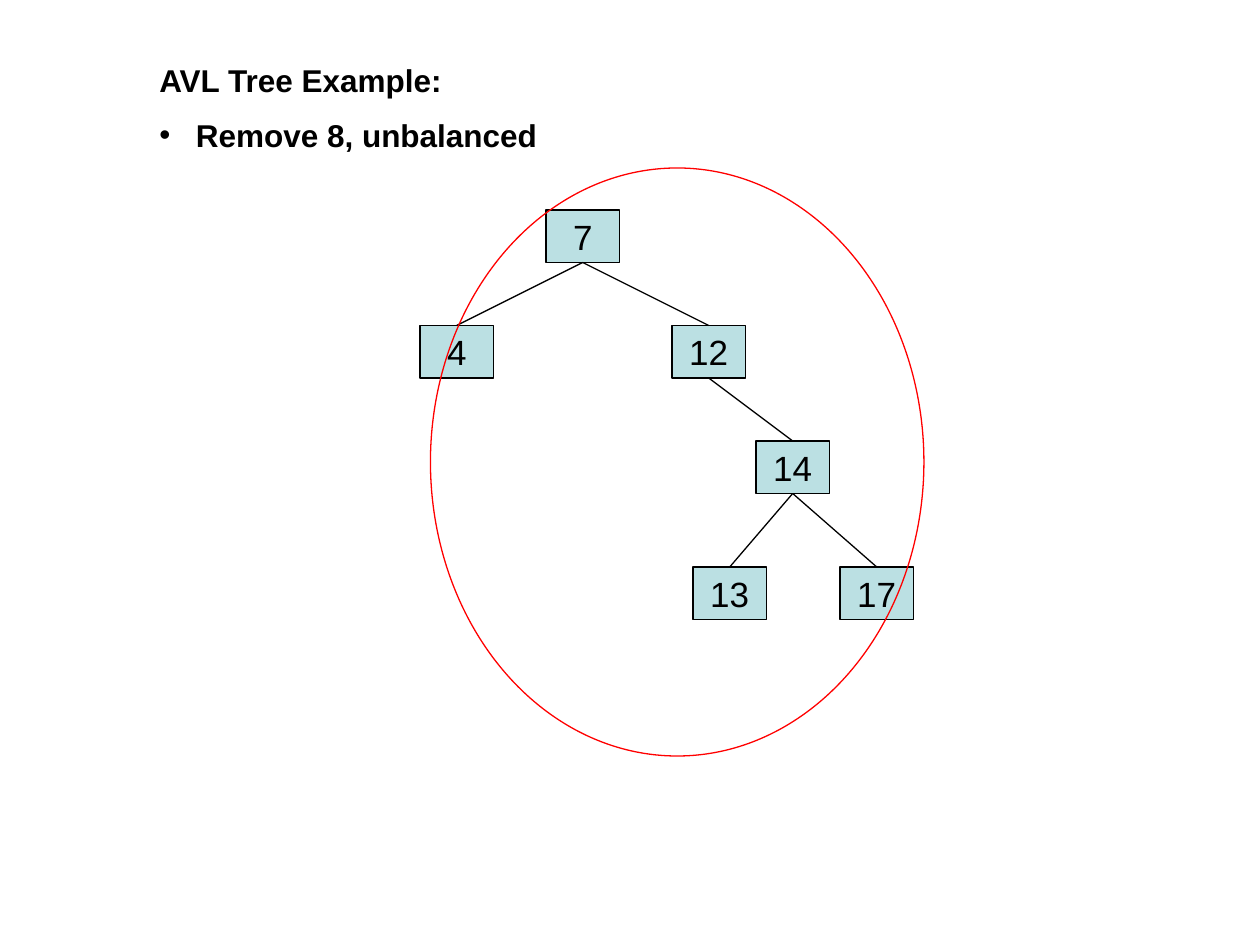
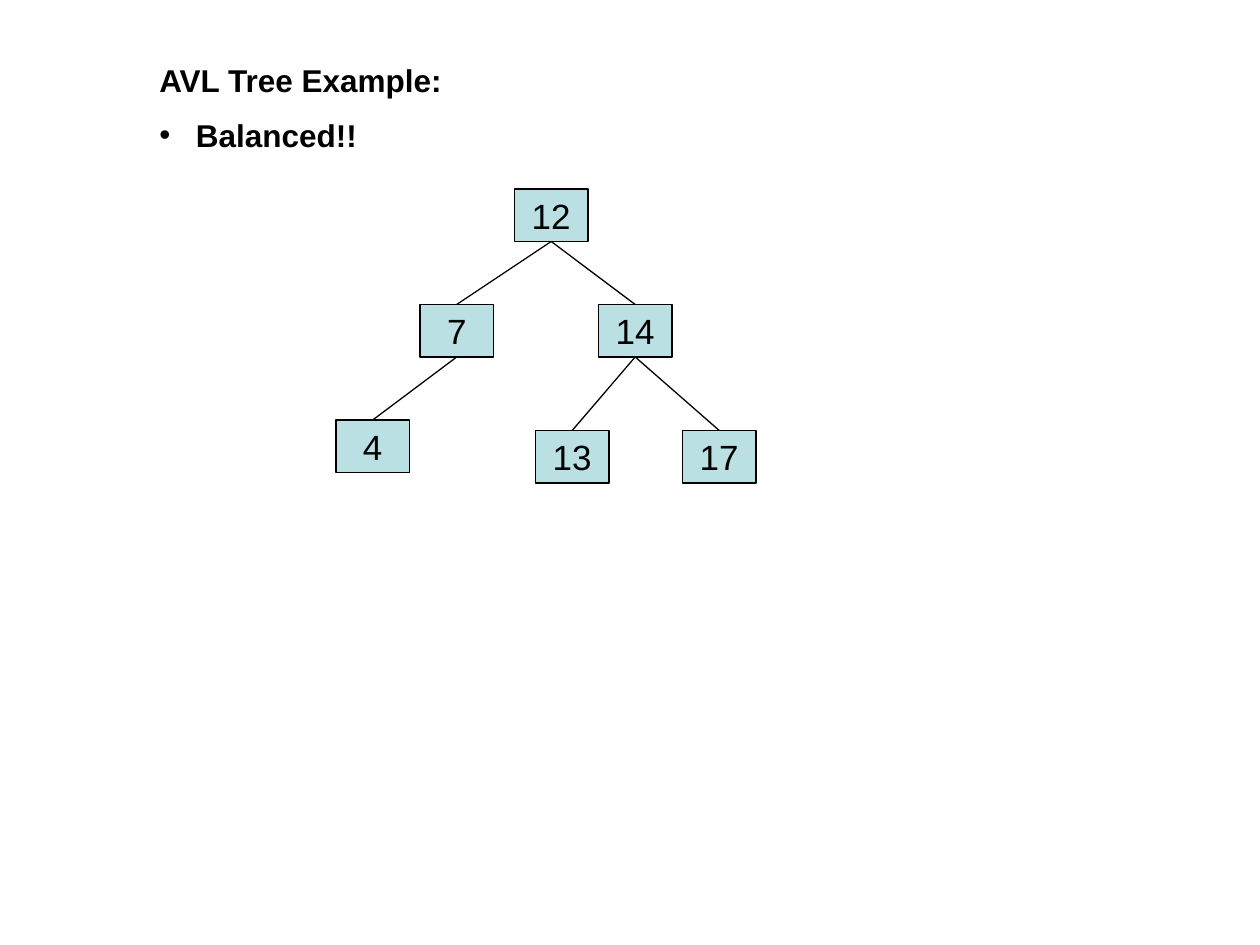
from dataclasses import dataclass
from typing import Optional

from lxml import etree
from pptx import Presentation
from pptx.dml.color import RGBColor
from pptx.enum.shapes import MSO_CONNECTOR, MSO_SHAPE
from pptx.enum.text import MSO_ANCHOR, MSO_AUTO_SIZE, PP_ALIGN
from pptx.oxml.ns import qn
from pptx.util import Inches, Pt

STRAIGHT = MSO_CONNECTOR.STRAIGHT
RECTANGLE, OVAL = MSO_SHAPE.RECTANGLE, MSO_SHAPE.OVAL
CENTER, MIDDLE = PP_ALIGN.CENTER, MSO_ANCHOR.MIDDLE
GROW = MSO_AUTO_SIZE.SHAPE_TO_FIT_TEXT
TOP, BOTTOM = 0, 2  # connection sites of a rectangle

# Shared style
FONT = "Arial"
BLACK, NODE_FILL, RING_RED = "000000", "BBE0E3", "FF0000"
HEADING_SIZE, NODE_SIZE, LINE_WIDTH = 18, 20, 0.75
BULLET_INDENT = Inches(0.29)

# The slide is a grid of 120 columns by 90 rows, twelve to the inch
CELL = Inches(1) // 12
COLUMNS, ROWS = 120, 90
NODE_COLUMNS, NODE_ROWS = 7, 5


@dataclass(frozen=True)
class Area:
    column: int
    row: int
    columns: int
    rows: int

    def lengths(self) -> tuple:
        return tuple(CELL * n for n in (self.column, self.row, self.columns, self.rows))


@dataclass(frozen=True)
class Node:
    key: int
    column: int
    row: int
    parent: Optional[int] = None


@dataclass(frozen=True)
class TreePage:
    remark: str
    nodes: tuple
    ring: Optional[Area] = None


HEADING = "AVL Tree Example:"
HEADING_AREA = Area(14, 5, 101, 10)

PAGES = (
    TreePage(
        "Remove 8, unbalanced",
        (
            Node(7, 52, 20),
            Node(4, 40, 31, 7),
            Node(12, 64, 31, 7),
            Node(14, 72, 42, 12),
            Node(13, 66, 54, 14),
            Node(17, 80, 54, 14),
        ),
        ring=Area(41, 16, 47, 56),
    ),
    TreePage(
        "Balanced!!",
        (
            Node(12, 49, 18),
            Node(7, 40, 29, 12),
            Node(14, 57, 29, 12),
            Node(4, 32, 40, 7),
            Node(13, 51, 41, 14),
            Node(17, 65, 41, 14),
        ),
    ),
)


def color(value: str) -> RGBColor:
    return RGBColor.from_string(value)


def style_line(line, value: str) -> None:
    line.color.rgb = color(value)
    line.width = Pt(LINE_WIDTH)


def style_text(para, size: int, bold: bool = False) -> None:
    for span in para.runs:
        span.font.name = FONT
        span.font.size = Pt(size)
        span.font.bold = bold
        span.font.color.rgb = color(BLACK)


def add_bullet(para) -> None:
    properties = para._p.get_or_add_pPr()
    properties.set("marL", str(BULLET_INDENT))
    properties.set("indent", str(-BULLET_INDENT))
    etree.SubElement(properties, qn("a:buFont")).set("typeface", FONT)
    etree.SubElement(properties, qn("a:buChar")).set("char", "•")


def add_heading(page, remark: str) -> None:
    box = page.shapes.add_textbox(*HEADING_AREA.lengths())
    frame = box.text_frame
    frame.word_wrap = True
    frame.auto_size = GROW
    frame.margin_top = Inches(0.07)
    title, bullet = frame.paragraphs[0], frame.add_paragraph()
    title.text, bullet.text = HEADING, remark
    bullet.space_before = Pt(9.5)
    add_bullet(bullet)
    for para in (title, bullet):
        style_text(para, HEADING_SIZE, bold=True)


def add_node(page, node: Node):
    area = Area(node.column, node.row, NODE_COLUMNS, NODE_ROWS)
    box = page.shapes.add_shape(RECTANGLE, *area.lengths())
    box.shadow.inherit = False
    box.fill.solid()
    box.fill.fore_color.rgb = color(NODE_FILL)
    style_line(box.line, BLACK)
    frame = box.text_frame
    frame.text = str(node.key)
    frame.word_wrap = False
    frame.vertical_anchor = MIDDLE
    para = frame.paragraphs[0]
    para.alignment = CENTER
    style_text(para, NODE_SIZE)
    return box


def add_branch(page, parent, child) -> None:
    branch = page.shapes.add_connector(STRAIGHT, 0, 0, 0, 0)
    branch.begin_connect(parent, BOTTOM)
    branch.end_connect(child, TOP)
    style_line(branch.line, BLACK)
    etree.SubElement(branch._element.spPr, qn("a:effectLst"))


def add_ring(page, area: Area) -> None:
    ring = page.shapes.add_shape(OVAL, *area.lengths())
    ring.shadow.inherit = False
    ring.fill.background()
    style_line(ring.line, RING_RED)


def add_tree_page(deck, content: TreePage) -> None:
    page = deck.slides.add_slide(deck.slide_layouts[6])
    add_heading(page, content.remark)
    boxes = {node.key: add_node(page, node) for node in content.nodes}
    for node in content.nodes:
        if node.parent is not None:
            add_branch(page, boxes[node.parent], boxes[node.key])
    if content.ring:
        add_ring(page, content.ring)


def main() -> None:
    deck = Presentation()
    deck.slide_width, deck.slide_height = CELL * COLUMNS, CELL * ROWS
    for content in PAGES:
        add_tree_page(deck, content)
    deck.save("out.pptx")


if __name__ == "__main__":
    main()
